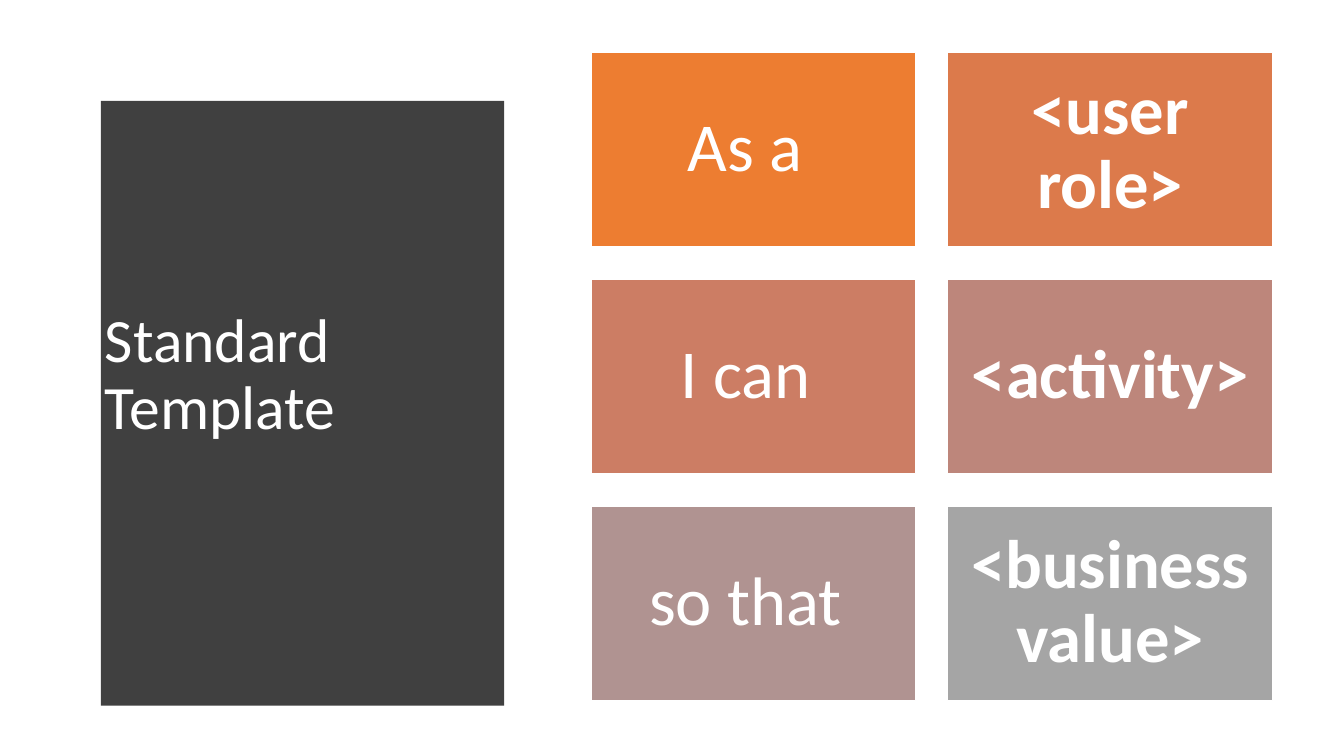
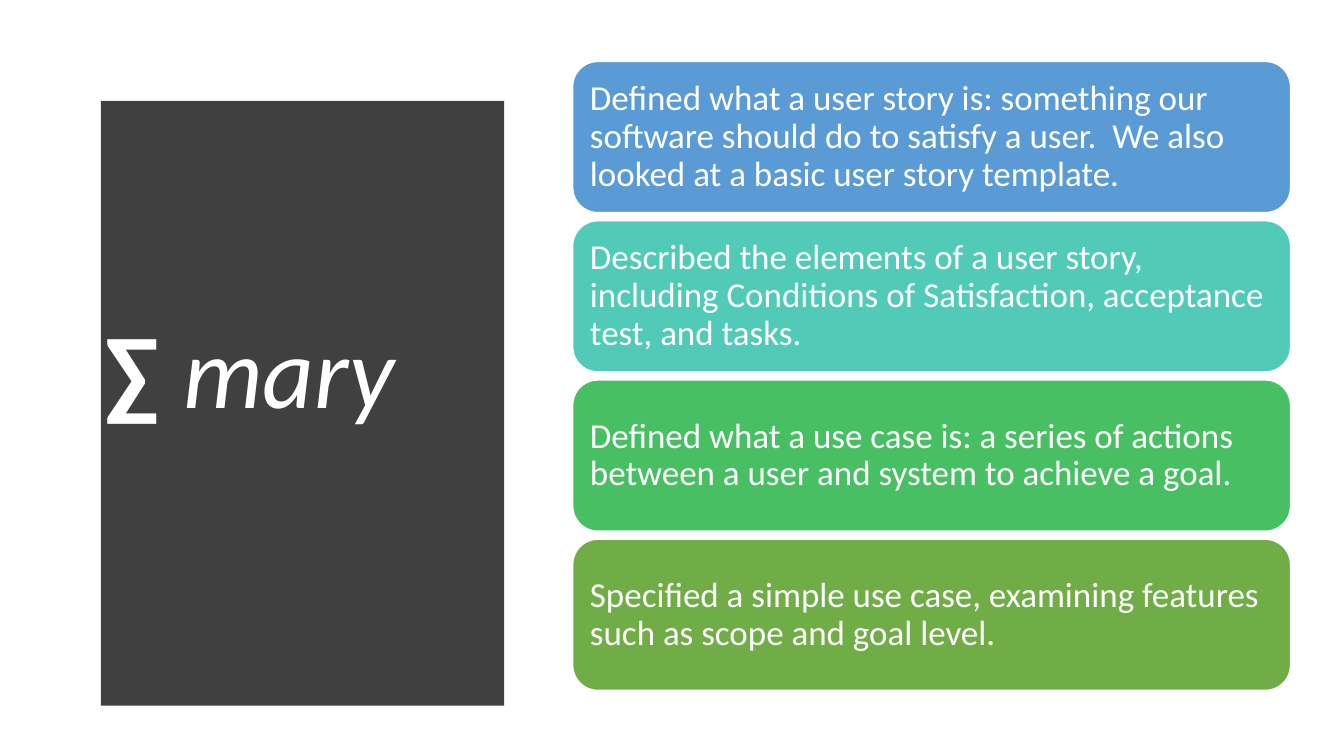
from pptx import Presentation
from pptx.dml.color import RGBColor
from pptx.enum import shapes, text
from pptx.util import Inches, Pt

FONT = "Calibri"
WHITE = RGBColor(0xFF, 0xFF, 0xFF)
CHARCOAL = RGBColor(0x40, 0x40, 0x40)
TEMPLATE_FILLS = [RGBColor.from_string(c) for c in
                  ("ED7D31", "DC7A4B", "CC7D64", "BD867B", "B09391", "A5A5A5")]
SUMMARY_FILLS = [RGBColor.from_string(c) for c in
                 ("5B9BD5", "52CAB8", "49BF64", "70AD47")]

# Dark panel with a bulging right edge
PANEL_LEFT, PANEL_TOP, PANEL_BOTTOM = 0.53, 0.52, 6.96
PANEL_CORNER, BULGE, CURVE_STEPS = 5.08, 0.24, 40


def add_panel_slide(title_runs, size):
    """Add a slide with the dark panel; title_runs holds (text, bold, italic)."""
    slide = prs.slides.add_slide(prs.slide_layouts[5])

    edge = []
    for step in range(CURVE_STEPS + 1):
        t = step / CURVE_STEPS
        edge.append((PANEL_CORNER + BULGE * 4 * t * (1 - t),
                     PANEL_TOP + (PANEL_BOTTOM - PANEL_TOP) * t))
    outline = slide.shapes.build_freeform(PANEL_LEFT, PANEL_TOP, scale=Inches(1))
    outline.add_line_segments(edge + [(PANEL_LEFT, PANEL_BOTTOM)], close=True)
    panel = outline.convert_to_shape()
    panel.shadow.inherit = False
    panel.fill.solid()
    panel.fill.fore_color.rgb = CHARCOAL
    panel.line.fill.background()

    title = slide.shapes.title
    panel._element.addnext(title._element)  # bring the title in front
    title.left, title.top = Inches(0.94), Inches(1.11)
    title.width, title.height = Inches(3.74), Inches(5.24)
    title.text_frame.auto_size = text.MSO_AUTO_SIZE.NONE
    title.text_frame.vertical_anchor = text.MSO_ANCHOR.MIDDLE
    heading = title.text_frame.paragraphs[0]
    heading.alignment = text.PP_ALIGN.LEFT
    heading.line_spacing = 0.9
    heading.font.name, heading.font.size = FONT, Pt(size)
    heading.font.color.rgb = WHITE
    for words, bold, italic in title_runs:
        run = heading.add_run()
        run.text = words
        run.font.bold, run.font.italic = bold, italic
    return slide


def add_card(slide, preset, box, fill, words, size, inset, align, bold=False):
    card = slide.shapes.add_shape(preset, *[Inches(v) for v in box])
    card.shadow.inherit = False
    card.fill.solid()
    card.fill.fore_color.rgb = fill
    card.line.color.rgb = WHITE
    card.line.width = Pt(1)
    frame = card.text_frame
    frame.word_wrap = True
    frame.vertical_anchor = text.MSO_ANCHOR.MIDDLE
    frame.margin_left = frame.margin_right = Inches(inset)
    frame.margin_top = frame.margin_bottom = Inches(inset)
    line = frame.paragraphs[0]
    line.text = words
    line.alignment = align
    line.line_spacing = 0.9
    line.font.name, line.font.size, line.font.bold = FONT, Pt(size), bold
    line.font.color.rgb = WHITE


prs = Presentation()
prs.slide_width, prs.slide_height = Inches(13.33), Inches(7.5)

# Slide 1: user story template, two columns by three rows
template = add_panel_slide([("Standard Template", False, False)], 44)
phrases = ["As a ", "<user role>", "I can ", "<activity> ",
           "so that ", "<business value>"]
for i, (phrase, fill) in enumerate(zip(phrases, TEMPLATE_FILLS)):
    row, col = divmod(i, 2)
    add_card(template, shapes.MSO_SHAPE.RECTANGLE,
             (5.86 + 3.54 * col, 0.52 + 2.25 * row, 3.22, 1.93),
             fill, phrase, 49, 0.2, text.PP_ALIGN.CENTER, bold=col == 1)

# Slide 2: summary, four stacked points
summary = add_panel_slide([("∑ ", True, False), ("mary", False, True)], 72)
points = [
    "Defined what a user story is: something our software should do to "
    "satisfy a user.  We also looked at a basic user story template.",
    "Described the elements of a user story, including Conditions of "
    "Satisfaction, acceptance test, and tasks.",
    "Defined what a use case is: a series of actions between a user and "
    "system to achieve a goal.",
    "Specified a simple use case, examining features such as scope and "
    "goal level.",
]
for row, (point, fill) in enumerate(zip(points, SUMMARY_FILLS)):
    add_card(summary, shapes.MSO_SHAPE.ROUNDED_RECTANGLE,
             (5.68, 0.61 + 1.58 * row, 7.12, 1.5),
             fill, point, 25, 0.1, text.PP_ALIGN.LEFT)

prs.save("out.pptx")
